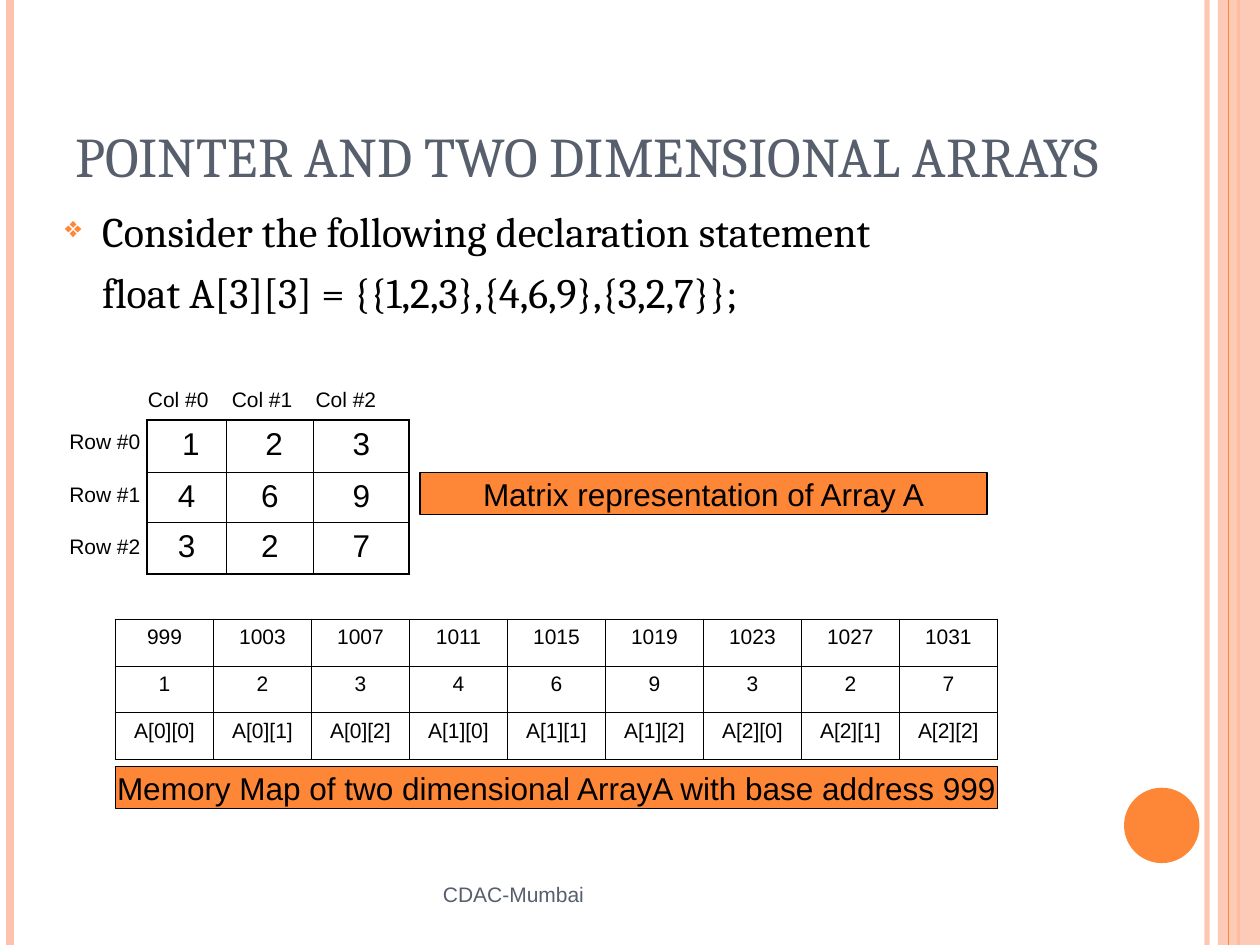
import pptx
import pptx.dml.color
import pptx.enum.shapes
import pptx.enum.text
import pptx.oxml
import pptx.oxml.ns
import pptx.util
from lxml import etree

Cm = pptx.util.Cm
Pt = pptx.util.Pt
SHAPE = pptx.enum.shapes.MSO_SHAPE
ALIGN = pptx.enum.text.PP_ALIGN
ANCHOR = pptx.enum.text.MSO_ANCHOR
COLORS = {"orange": "FE8637", "peach": "FEC3AE", "slate": "575F6D",
          "black": "000000", "white": "FFFFFF"}
MATRIX = [[" 1", " 2", "3"], ["4", "6", "9"], ["3", "2", "7"]]
BASE_ADDRESS, FLOAT_SIZE = 999, 4


def rgb(name):
    """Return the named colour."""
    return pptx.dml.color.RGBColor.from_string(COLORS[name])


def child(parent, tag, **attrs):
    """Append a DrawingML element to parent."""
    return etree.SubElement(parent, pptx.oxml.ns.qn(tag), attrs)


def set_alpha(fill_parent, percent):
    """Make the first solid colour under an element partly transparent."""
    color = next(fill_parent.iter(pptx.oxml.ns.qn("a:srgbClr")))
    child(color, "a:alpha", val=str(percent * 1000))


def write(tf, text, size=12, font="Arial", color="black", align=ALIGN.CENTER,
          anchor=ANCHOR.MIDDLE, wrap=False, indent=0, bullet=None, before=0):
    """Write lines of text into a text frame, with a bullet on the first line if given."""
    tf.word_wrap = wrap
    tf.vertical_anchor = anchor
    for i, line in enumerate(text.split("\n")):
        p = tf.add_paragraph() if i else tf.paragraphs[0]
        p.alignment = align
        if i:
            p.space_before = Pt(before)
        if indent:
            pPr = p._p.get_or_add_pPr()
            pPr.set("marL", str(Cm(indent)))
            pPr.set("indent", str(-Cm(indent) if bullet and not i else 0))
            if bullet and not i:
                child(child(pPr, "a:buClr"), "a:srgbClr", val=COLORS["orange"])
                child(pPr, "a:buSzPct", val="70000")
                child(pPr, "a:buChar", char=bullet)
        r = p.add_run()
        r.text = line
        r.font.size = Pt(size)
        r.font.name = font
        r.font.color.rgb = rgb(color)


def add_text(slide, text, left, top, width, height, **fmt):
    """Add a wrapping, left-aligned text box."""
    sp = slide.shapes.add_textbox(Cm(left), Cm(top), Cm(width), Cm(height))
    write(sp.text_frame, text, align=ALIGN.LEFT, wrap=True, **fmt)


def add_box(slide, kind, left, top, width, height, color=None, line=None):
    """Add a preset shape with optional fill and outline colours."""
    sp = slide.shapes.add_shape(kind, Cm(left), Cm(top), Cm(width), Cm(height))
    sp.shadow.inherit = False
    if color:
        sp.fill.solid()
        sp.fill.fore_color.rgb = rgb(color)
    else:
        sp.fill.background()
    if line:
        sp.line.color.rgb = rgb(line)
        sp.line.width = Pt(0.75)
    else:
        sp.line.fill.background()
    return sp


def add_label(slide, text, left, top):
    """Add a one-line label centred on a small invisible rectangle."""
    sp = add_box(slide, SHAPE.RECTANGLE, left, top, 1.27, 0.85)
    write(sp.text_frame, text)


def add_caption(slide, text, left, top, width, height):
    """Add an outlined orange bar with a caption."""
    sp = add_box(slide, SHAPE.RECTANGLE, left, top, width, height, "orange", "black")
    write(sp.text_frame, text, size=18)


def add_stripe(slide, x, color, width, alpha=None):
    """Add a vertical line over the full slide height."""
    line = slide.shapes.add_connector(
        pptx.enum.shapes.MSO_CONNECTOR.STRAIGHT, Cm(x), 0, Cm(x), Cm(19.05))
    line.line.color.rgb = rgb(color)
    line.line.width = Pt(width)
    child(line._element.spPr, "a:effectLst")
    if alpha:
        set_alpha(line._element.spPr, alpha)


def set_borders(cell, outer):
    """Draw cell borders, thicker on the sides listed in outer."""
    tcPr = cell._tc.get_or_add_tcPr()
    for i, side in enumerate("LRTB"):
        ln = pptx.oxml.parse_xml(
            f'<a:ln{side} {pptx.oxml.ns.nsdecls("a")} w="{Pt(1.08 if side in outer else 0.45)}">'
            f'<a:solidFill><a:srgbClr val="{COLORS["black"]}"/></a:solidFill></a:ln{side}>')
        tcPr.insert(i, ln)


def add_grid(slide, rows, left, top, widths, heights, size):
    """Add an unfilled table with a thicker outer border."""
    last_row, last_col = len(heights) - 1, len(widths) - 1
    frame = slide.shapes.add_table(len(heights), len(widths), Cm(left), Cm(top),
                                   Cm(sum(widths)), Cm(sum(heights)))
    table = frame.table
    table.first_row = table.horz_banding = False
    for column, width in zip(table.columns, widths):
        column.width = Cm(width)
    for i, height in enumerate(heights):
        table.rows[i].height = Cm(height)
        for j, text in enumerate(rows[i]):
            cell = table.cell(i, j)
            cell.fill.background()
            write(cell.text_frame, text, size=size, anchor=ANCHOR.TOP, wrap=True)
            edges = {"L": j == 0, "R": j == last_col, "T": i == 0, "B": i == last_row}
            set_borders(cell, [side for side, on in edges.items() if on])


def add_decoration(slide):
    """Add the side stripes, the band and the circle."""
    add_stripe(slide, 24.33, "peach", 3, alpha=93)
    add_stripe(slide, 0.21, "peach", 4.5)
    add_stripe(slide, 24.97, "orange", 1.5)
    band = add_box(slide, SHAPE.RECTANGLE, 24.55, 0, 0.85, 19.05, "peach")
    set_alpha(band._element.spPr, 87)
    add_stripe(slide, 24.77, "orange", 0.75)
    add_box(slide, SHAPE.OVAL, 22.66, 15.88, 1.52, 1.52, "orange")


def add_matrix(slide):
    """Add the matrix with its row and column labels and caption."""
    add_grid(slide, MATRIX, 2.96, 8.47, [1.6, 1.76, 1.93], [1.05, 1.01, 1.03], 18)
    for i in range(3):
        add_label(slide, f"Col #{i}", 2.96 + 1.69 * i, 7.62)
        add_label(slide, f"Row #{i}", 1.48, 8.47 + 1.06 * i)
    add_caption(slide, "Matrix representation of Array A", 8.47, 9.53, 11.43, 0.85)


def add_memory_map(slide):
    """Add the addresses, values and element names in memory order, with a caption."""
    values = [value.strip() for row in MATRIX for value in row]
    addresses = [str(BASE_ADDRESS + FLOAT_SIZE * n) for n in range(len(values))]
    names = [f"A[{n // 3}][{n % 3}]" for n in range(len(values))]
    add_grid(slide, [addresses, values, names], 2.33, 12.49,
             [17.78 / len(values)] * len(values), [0.94] * 3, 12)
    add_caption(slide, "Memory Map of two dimensional ArrayA with base address 999",
                2.33, 15.45, 17.78, 0.85)


def main():
    """Build and save the slide."""
    prs = pptx.Presentation()
    prs.slide_width, prs.slide_height = Cm(25.4), Cm(19.05)
    slide = prs.slides.add_slide(prs.slide_layouts[6])
    slide.background.fill.solid()
    slide.background.fill.fore_color.rgb = rgb("white")
    add_decoration(slide)
    add_text(slide, "POINTER AND TWO DIMENSIONAL ARRAYS", 1.27, 0.76, 22.86, 3.18,
             size=32, font="Cambria", color="slate", anchor=ANCHOR.BOTTOM)
    add_text(slide, "Consider the following declaration statement\n"
             "float A[3][3] = {{1,2,3},{4,6,9},{3,2,7}};", 1.06, 4.02, 23.07, 12.57,
             size=24, font="Cambria", anchor=ANCHOR.TOP,
             indent=0.75, bullet="❖", before=6)
    add_matrix(slide)
    add_memory_map(slide)
    add_text(slide, "CDAC-Mumbai", 8.68, 17.36, 8.04, 1.32, color="slate")
    prs.save("out.pptx")


if __name__ == "__main__":
    main()
